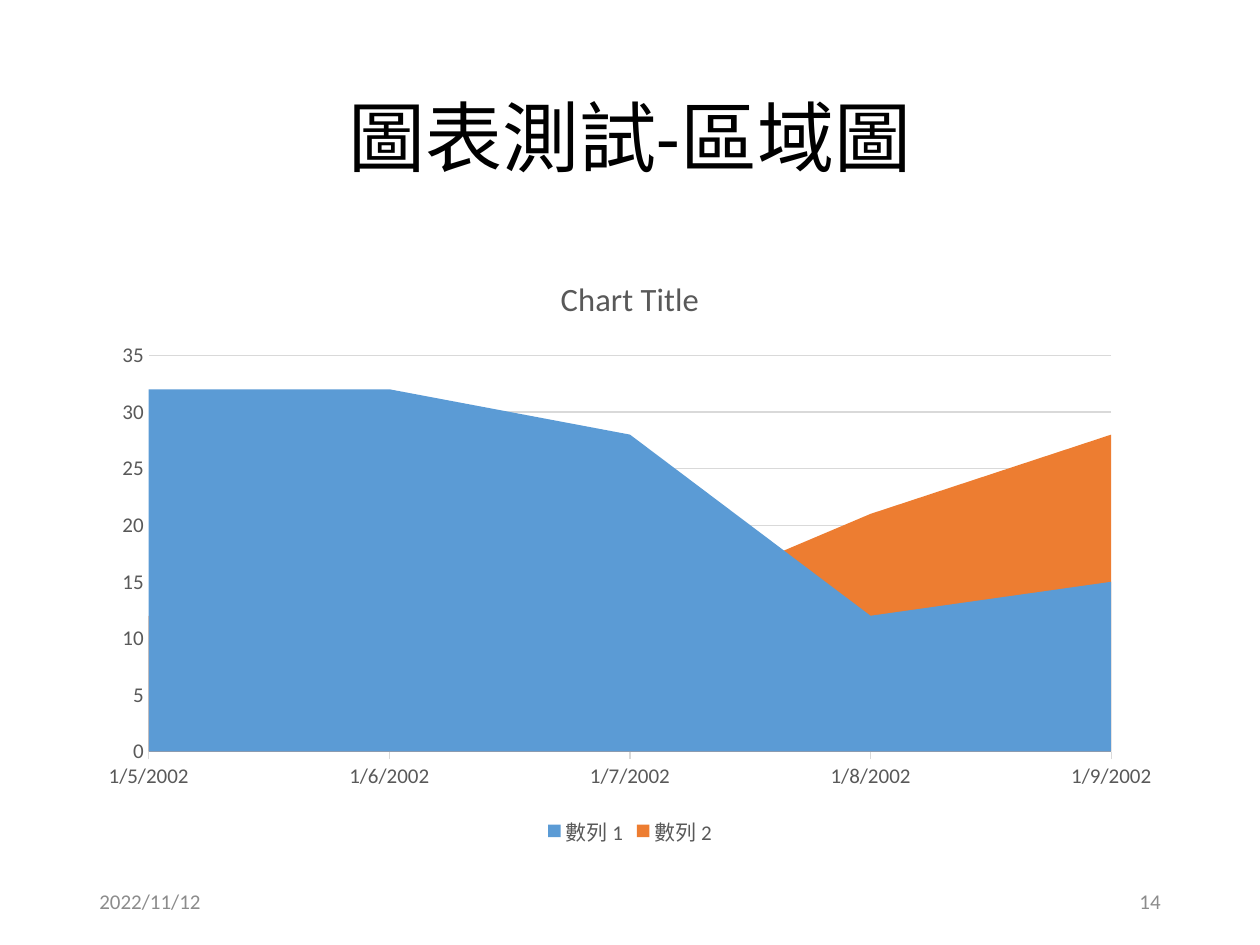
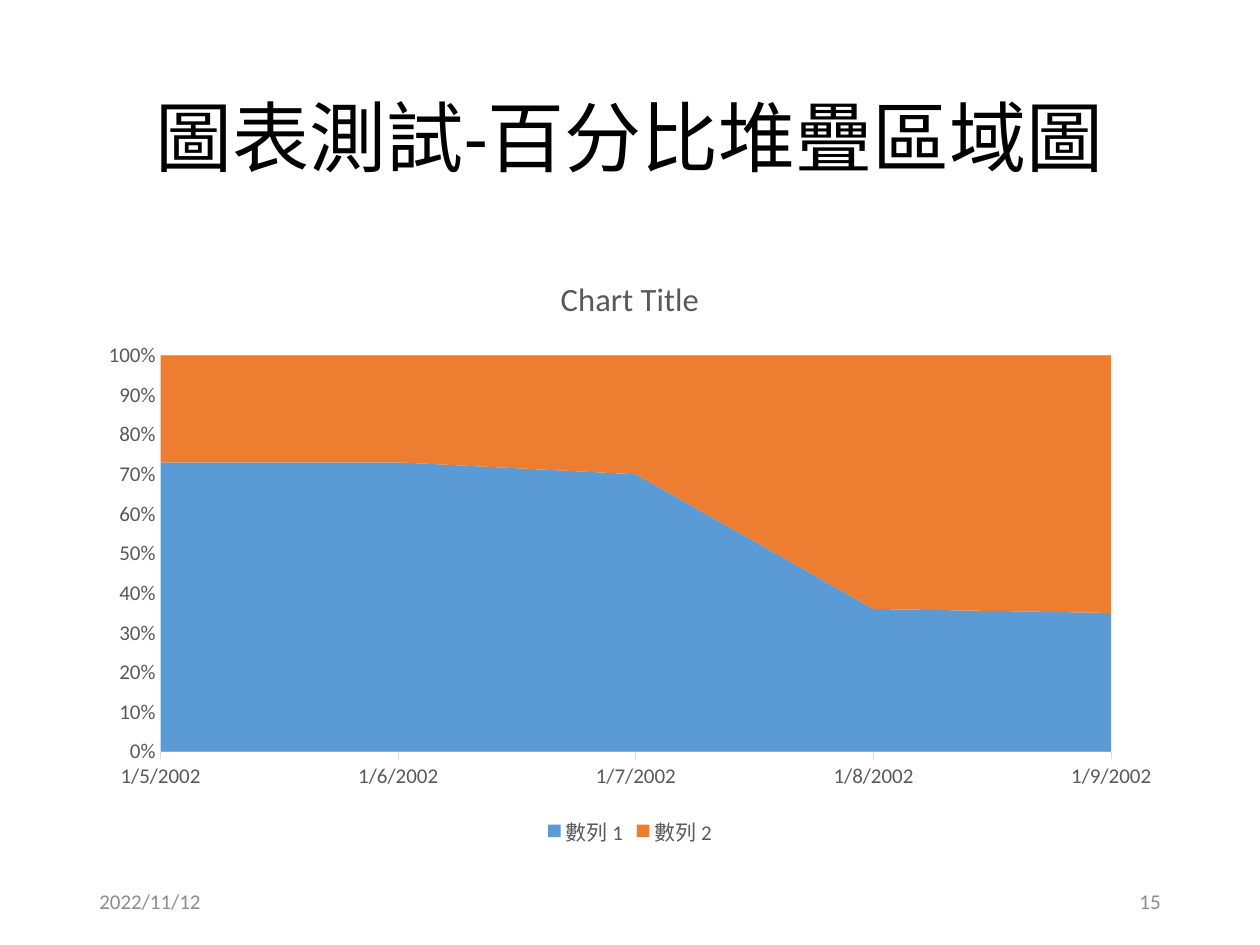
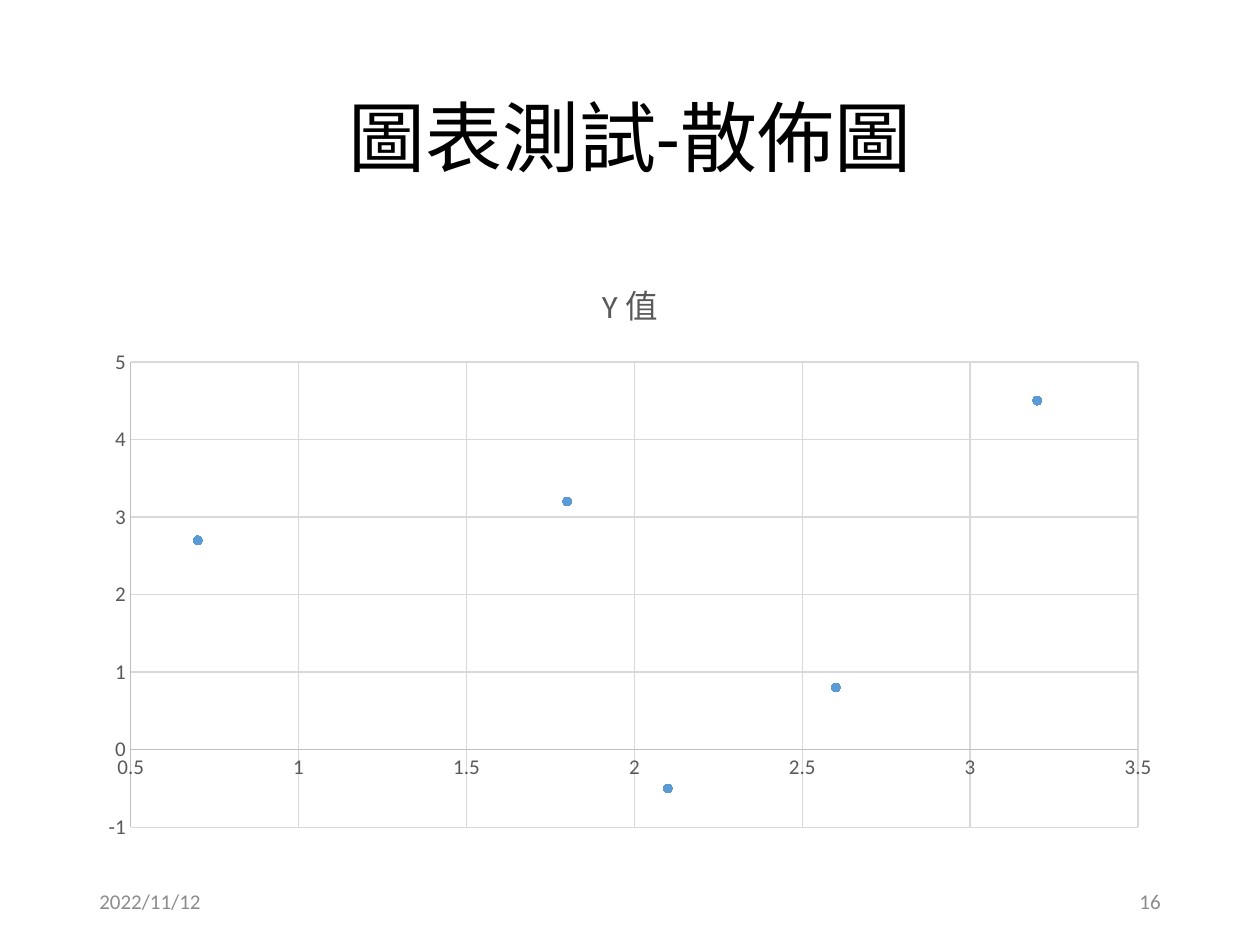
from dataclasses import dataclass

from pptx import Presentation
from pptx.chart.data import CategoryChartData, XyChartData
from pptx.dml.color import RGBColor
from pptx.enum.chart import XL_CHART_TYPE as ChartType
from pptx.enum.chart import XL_LEGEND_POSITION as LegendPosition
from pptx.enum.chart import XL_MARKER_STYLE as MarkerStyle
from pptx.enum.chart import XL_TICK_MARK as TickMark
from pptx.enum.text import MSO_ANCHOR as Anchor
from pptx.enum.text import PP_ALIGN as Align
from pptx.util import Inches, Pt


@dataclass(frozen=True)
class Theme:
    """Colours, font and type sizes shared by every slide."""

    font: str = "Calibri"
    ink: str = "000000"
    label: str = "595959"
    footer: str = "8C8C8C"
    grid: str = "D9D9D9"
    axis: str = "BFBFBF"
    series: tuple = ("5B9BD5", "ED7D31")
    title_size: float = 44
    chart_title_size: float = 18.6
    chart_size: float = 10
    label_size: float = 12
    line_width: float = 0.75
    marker_size: int = 5


@dataclass(frozen=True)
class Box:
    """A rectangle in inches."""

    left: float
    top: float
    width: float
    height: float

    def lengths(self):
        """Return the position and size as slide lengths."""
        return [Inches(side) for side in (self.left, self.top, self.width, self.height)]


THEME = Theme()
TITLE_BOX = Box(0.69, 0.4, 8.62, 1.45)
CHART_BOX = Box(0.69, 2, 8.62, 4.76)
FOOTER_BOX = Box(0.69, 6.95, 8.62, 0.4)
FOOTER_CELL_WIDTH = 2.25
FOOTER_DATE = "2022/11/12"
FIRST_NUMBER = 14
DATES = [f"1/{day}/2002" for day in range(5, 10)]
SERIES_NAMES = ("數列 1", "數列 2")
AREA_VALUES = ((32, 32, 28, 12, 15), (12, 12, 12, 21, 28))
SHARE_VALUES = ((73, 73, 70, 36, 35), (27, 27, 30, 64, 65))
SCATTER_NAME = "Y 值"
SCATTER_POINTS = ((0.7, 2.7), (1.8, 3.2), (2.6, 0.8), (2.1, -0.5), (3.2, 4.5))


def style_font(font, size, color):
    """Apply the theme font with a size and colour."""
    font.name = THEME.font
    font.size = Pt(size)
    font.color.rgb = RGBColor.from_string(color)


def style_line(line, color):
    """Draw a thin line, or none when the colour is missing."""
    if color is None:
        line.fill.background()
        return
    line.color.rgb = RGBColor.from_string(color)
    line.width = Pt(THEME.line_width)


def fill_solid(fill, color):
    """Fill with one colour."""
    fill.solid()
    fill.fore_color.rgb = RGBColor.from_string(color)


def add_text(page, box, text, size, color, align):
    """Add one vertically centred paragraph and return it."""
    frame = page.shapes.add_textbox(*box.lengths()).text_frame
    frame.word_wrap = True
    frame.vertical_anchor = Anchor.MIDDLE
    frame.text = text
    para = frame.paragraphs[0]
    para.alignment = align
    style_font(para.runs[0].font, size, color)
    return para


def add_footer(page, box, number):
    """Place the date at the left of the box and the number at the right."""
    right = box.left + box.width - FOOTER_CELL_WIDTH
    cells = ((box.left, FOOTER_DATE, Align.LEFT), (right, str(number), Align.RIGHT))
    for left, text, align in cells:
        cell = Box(left, box.top, FOOTER_CELL_WIDTH, box.height)
        add_text(page, cell, text, THEME.label_size, THEME.footer, align)


def add_frame(deck, title, number):
    """Add a slide with its title and footer."""
    page = deck.slides.add_slide(deck.slide_layouts[6])
    para = add_text(page, TITLE_BOX, title, THEME.title_size, THEME.ink, Align.CENTER)
    para.line_spacing = 0.9
    add_footer(page, FOOTER_BOX, number)
    return page


def style_axis(axis, line_color, tick, has_grid):
    """Set the labels, line, ticks and gridlines of an axis."""
    style_font(axis.tick_labels.font, THEME.label_size, THEME.label)
    style_line(axis.format.line, line_color)
    axis.major_tick_mark = tick
    axis.minor_tick_mark = TickMark.NONE
    axis.has_major_gridlines = has_grid
    if has_grid:
        style_line(axis.major_gridlines.format.line, THEME.grid)


def set_scale(axis, low, high, step):
    """Fix the range and step of a value axis."""
    axis.minimum_scale = low
    axis.maximum_scale = high
    axis.major_unit = step


def add_titled_chart(page, box, kind, data, title):
    """Add a chart with a styled title."""
    chart = page.shapes.add_chart(kind, *box.lengths(), data).chart
    style_font(chart.font, THEME.chart_size, THEME.ink)
    chart.has_title = True
    frame = chart.chart_title.text_frame
    frame.text = title
    span = frame.paragraphs[0].runs[0]
    style_font(span.font, THEME.chart_title_size, THEME.label)
    span.font.bold = False
    chart.has_legend = False
    chart.plots[0].vary_by_categories = False
    return chart


def add_area_chart(page, box, kind, rows, scale, number_format):
    """Add an area chart of the two series over the dates."""
    data = CategoryChartData()
    data.categories = DATES
    for name, values in zip(SERIES_NAMES, rows):
        data.add_series(name, values)
    chart = add_titled_chart(page, box, kind, data, "Chart Title")
    for series, color in zip(chart.plots[0].series, THEME.series):
        fill_solid(series.format.fill, color)
    style_axis(chart.category_axis, THEME.grid, TickMark.OUTSIDE, False)
    value_axis = chart.value_axis
    style_axis(value_axis, None, TickMark.NONE, True)
    set_scale(value_axis, *scale)
    value_axis.tick_labels.number_format = number_format
    value_axis.tick_labels.number_format_is_linked = False
    for crossing in chart._chartSpace.xpath(".//c:valAx/c:crossBetween"):
        crossing.set("val", "midCat")
    chart.has_legend = True
    chart.legend.position = LegendPosition.BOTTOM
    chart.legend.include_in_layout = False
    style_font(chart.legend.font, THEME.label_size, THEME.label)


def add_scatter_chart(page, box):
    """Add a scatter chart of separate round markers."""
    data = XyChartData()
    points = data.add_series(SCATTER_NAME)
    for x, y in SCATTER_POINTS:
        points.add_data_point(x, y)
    chart = add_titled_chart(page, box, ChartType.XY_SCATTER, data, SCATTER_NAME)
    series = chart.plots[0].series[0]
    style_line(series.format.line, None)
    marker = series.marker
    marker.style = MarkerStyle.CIRCLE
    marker.size = THEME.marker_size
    fill_solid(marker.format.fill, THEME.series[0])
    style_line(marker.format.line, THEME.series[0])
    scales = ((chart.category_axis, (0.5, 3.5, 0.5)), (chart.value_axis, (-1, 5, 1)))
    for axis, scale in scales:
        style_axis(axis, THEME.axis, TickMark.NONE, True)
        set_scale(axis, *scale)


def main():
    """Build the three chart slides."""
    deck = Presentation()
    deck.slide_width, deck.slide_height = Inches(10), Inches(7.5)
    titles = ("圖表測試-區域圖", "圖表測試-百分比堆疊區域圖", "圖表測試-散佈圖")
    area, share, scatter = [
        add_frame(deck, title, number) for number, title in enumerate(titles, FIRST_NUMBER)
    ]
    add_area_chart(area, CHART_BOX, ChartType.AREA, AREA_VALUES, (0, 35, 5), "General")
    add_area_chart(
        share, CHART_BOX, ChartType.AREA_STACKED_100, SHARE_VALUES, (0, 1, 0.1), "0%"
    )
    add_scatter_chart(scatter, CHART_BOX)
    deck.save("out.pptx")


if __name__ == "__main__":
    main()
